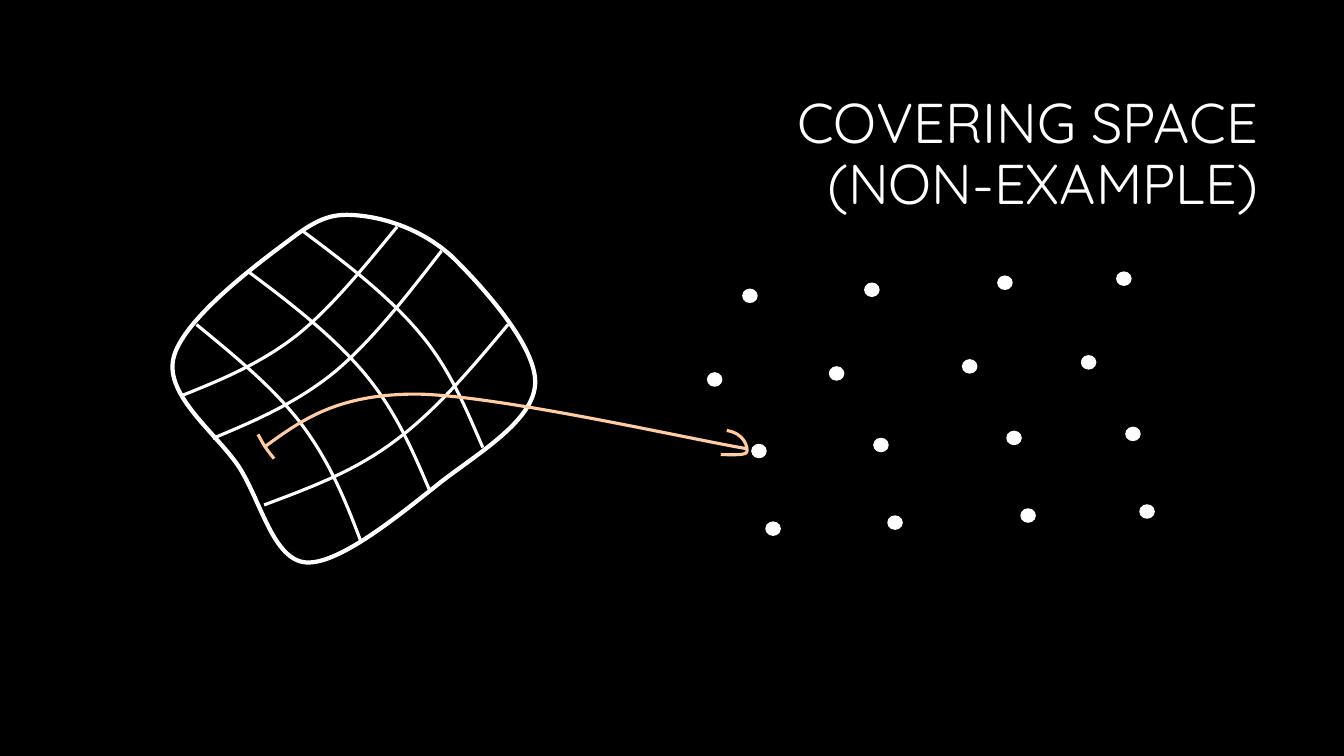
import math

from lxml import etree
from pptx import Presentation, util as u
from pptx.dml.color import RGBColor
from pptx.enum import shapes, text
from pptx.oxml import ns

BLACK = RGBColor(0x00, 0x00, 0x00)
WHITE = RGBColor(0xFF, 0xFF, 0xFF)
PEACH = RGBColor(0xFF, 0xCC, 0xA3)

SURFACE = [
    (2.86, 2.39), (2.55, 2.62), (1.8, 3.18), (1.72, 3.56),
    (1.64, 3.93), (2.15, 4.3), (2.37, 4.63),
    (2.59, 4.97), (2.71, 5.56), (3.04, 5.58),
    (3.38, 5.6), (4.01, 5.07), (4.39, 4.77),
    (4.77, 4.48), (5.29, 4.17), (5.31, 3.81),
    (5.33, 3.44), (4.79, 2.85), (4.51, 2.57),
    (4.22, 2.29), (3.85, 2.17), (3.58, 2.14),
    (3.31, 2.11), (3.17, 2.15), (2.86, 2.39),
]
GRID = [
    ((1.95, 3.22, 1.63, 2.15), 0,
     [(1.95, 3.22), (2.34, 3.54), (2.73, 3.86), (3, 4.22),
      (3.27, 4.58), (3.43, 4.97), (3.58, 5.37)]),
    ((2.47, 2.7, 1.79, 2.15), 0,
     [(2.47, 2.7), (2.9, 3.02), (3.32, 3.35), (3.62, 3.71),
      (3.92, 4.07), (4.09, 4.46), (4.26, 4.86)]),
    ((3, 2.29, 1.79, 2.15), 0,
     [(3, 2.29), (3.43, 2.61), (3.86, 2.94), (4.16, 3.3),
      (4.46, 3.65), (4.62, 4.05), (4.79, 4.44)]),
    ((2.93, 2.91, 1.8, 2.42), 90,
     [(5.04, 3.22), (4.68, 3.65), (4.32, 4.08), (3.91, 4.38),
      (3.51, 4.68), (3.07, 4.84), (2.62, 5.01)]),
    ((2.31, 2.29, 1.86, 2.27), 90,
     [(4.38, 2.49), (4.04, 2.93), (3.69, 3.38), (3.32, 3.69),
      (2.94, 4), (2.52, 4.18), (2.11, 4.35)]),
    ((2.02, 2.02, 1.68, 2.14), 90,
     [(3.94, 2.25), (3.61, 2.65), (3.29, 3.05), (2.94, 3.33),
      (2.58, 3.61), (2.19, 3.77), (1.79, 3.93)]),
]
ARROW = [
    ((2.63, 3.85, 4.75, 0.77), 356.1,
     [(2.63, 4.43), (2.99, 4.17), (3.34, 3.91), (4.13, 3.91),
      (4.93, 3.92), (6.86, 4.36), (7.4, 4.45)]),
    ((2.56, 4.31, 0.16, 0.24), 0,
     [(2.56, 4.31), (2.59, 4.36), (2.61, 4.42), (2.72, 4.55)]),
    ((7.13, 4.26, 0.27, 0.26), 259.7,
     [(7.15, 4.51), (7.28, 4.51), (7.4, 4.52), (7.41, 4.48),
      (7.42, 4.44), (7.39, 4.3), (7.21, 4.27)]),
]
DOT_ROWS = [(7.37, 2.87), (7.02, 3.7), (7.46, 4.41), (7.6, 5.18)]
DOT_STEPS = [(0, 0), (1.21, -0.06), (2.53, -0.13), (3.71, -0.17)]


def to_frame(point, frame, rotation):
    left, top, width, height = frame
    angle = math.radians(-rotation)
    dx = point[0] - left - width / 2
    dy = point[1] - top - height / 2
    x = dx * math.cos(angle) - dy * math.sin(angle) + width / 2
    y = dx * math.sin(angle) + dy * math.cos(angle) + height / 2
    return u.Inches(x), u.Inches(y)


class Board:
    font = {"name": "Quicksand", "size": u.Pt(40)}
    frame = {"word_wrap": True, "vertical_anchor": text.MSO_ANCHOR.MIDDLE}
    paragraph = {"alignment": text.PP_ALIGN.RIGHT, "line_spacing": 0.9}

    def __init__(self, s):
        self.s = s
        s.background.fill.solid()
        s.background.fill.fore_color.rgb = BLACK

    def apply(self, target, values):
        for name, value in values.items():
            setattr(target, name, value)

    def outline(self, sp, color, width):
        sp.shadow.inherit = False
        sp.line.color.rgb = color
        sp.line.width = u.Pt(width)

    def title(self, lines, left, top, width, height):
        box = self.s.shapes.add_textbox(*map(u.Inches, (left, top, width, height)))
        tf = box.text_frame
        self.apply(tf, self.frame)
        p = tf.paragraphs[0]
        self.apply(p, self.paragraph)
        for i, line in enumerate(lines):
            if i:
                p.add_line_break()
            r = p.add_run()
            r.text = line
            self.apply(r.font, self.font)
            r.font.color.rgb = WHITE

    def curve(self, frame, rotation, points, color=WHITE, width=2.25, close=False):
        local = [to_frame(point, frame, rotation) for point in points]
        builder = self.s.shapes.build_freeform(*local[0])
        builder.add_line_segments(local[3::3], close=close)
        sp = builder.convert_to_shape()
        box = dict(zip(("left", "top", "width", "height"), map(u.Inches, frame)))
        self.apply(sp, box | {"rotation": rotation})
        self.bend(sp, local, close)
        sp.fill.background()
        self.outline(sp, color, width)

    def bend(self, sp, local, close):
        track = next(sp.element.iter(ns.qn("a:path")))
        for child in list(track):
            track.remove(child)
        track.set("w", str(sp.width))
        track.set("h", str(sp.height))
        steps = [("a:moveTo", local[:1])]
        steps += [("a:cubicBezTo", local[i:i + 3]) for i in range(1, len(local), 3)]
        if close:
            steps.append(("a:close", []))
        for tag, group in steps:
            step = etree.SubElement(track, ns.qn(tag))
            for x, y in group:
                etree.SubElement(step, ns.qn("a:pt"), x=str(x), y=str(y))

    def dot(self, left, top):
        sp = self.s.shapes.add_shape(
            shapes.MSO_SHAPE.OVAL, *map(u.Inches, (left, top, 0.14, 0.13)))
        sp.fill.solid()
        sp.fill.fore_color.rgb = WHITE
        self.outline(sp, WHITE, 1)


def main():
    prs = Presentation()
    prs.slide_width = u.Inches(40 / 3)
    prs.slide_height = u.Inches(7.5)
    board = Board(prs.slides.add_slide(prs.slide_layouts[6]))
    board.title(["COVERING SPACE", "(NON-EXAMPLE)"], 3.16, 0.84, 9.42, 1.41)
    board.curve((1.71, 2.13, 3.6, 3.45), 0, SURFACE, width=3, close=True)
    for frame, rotation, points in GRID:
        board.curve(frame, rotation, points)
    for x, y in DOT_ROWS:
        for dx, dy in DOT_STEPS:
            board.dot(x + dx, y + dy)
    for frame, rotation, points in ARROW:
        board.curve(frame, rotation, points, PEACH)
    prs.save("out.pptx")


if __name__ == "__main__":
    main()
